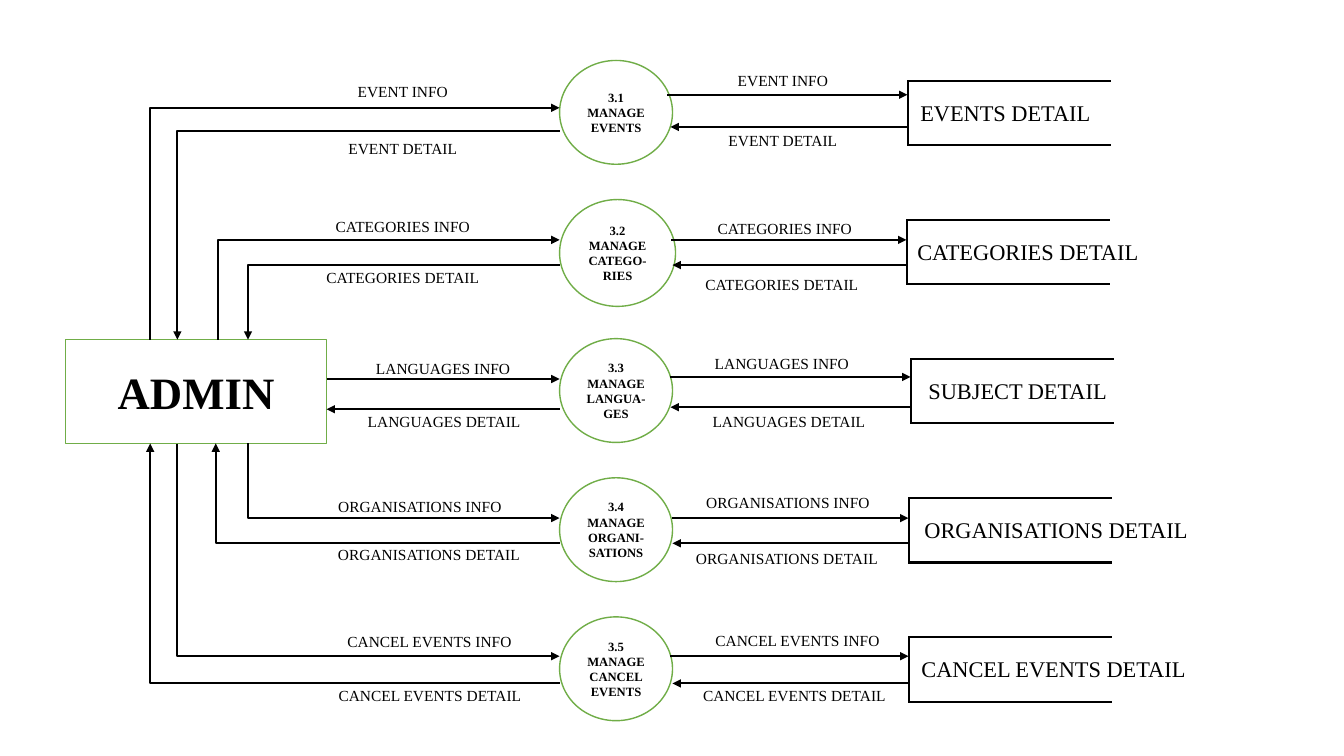
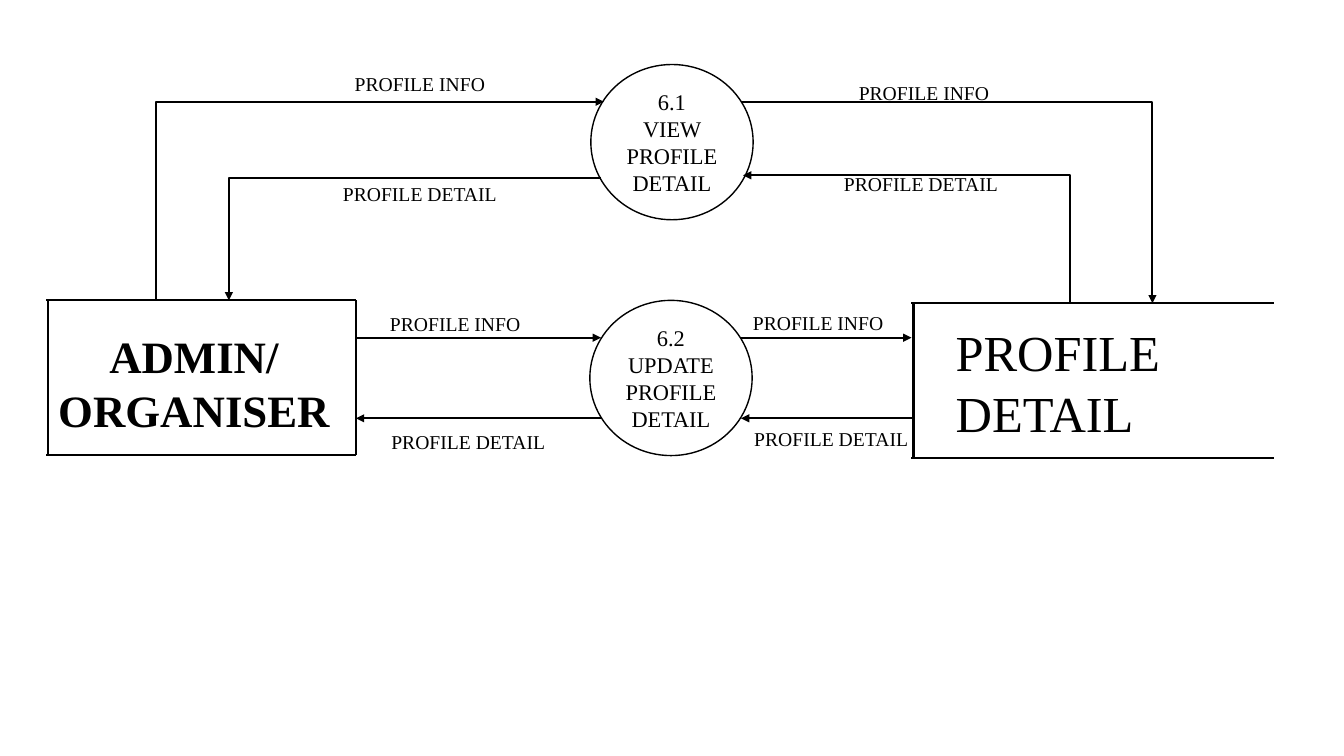
from lxml.etree import SubElement
from pptx import Presentation
from pptx.dml.color import RGBColor
from pptx.enum.shapes import MSO_CONNECTOR, MSO_SHAPE
from pptx.enum.text import MSO_ANCHOR, MSO_AUTO_SIZE, PP_ALIGN
from pptx.oxml.ns import qn
from pptx.util import Emu, Pt

BLACK = RGBColor(0x00, 0x00, 0x00)
WHITE = RGBColor(0xFF, 0xFF, 0xFF)
GREEN = RGBColor(0x70, 0xAD, 0x47)
FONT = "Times New Roman"
EMU_PER_PX = 9144  # 100 px to the inch
VERTICAL_FIRST, HORIZONTAL_FIRST = 0, 100000


def emu(*lengths):
    return [Emu(length * EMU_PER_PX) for length in lengths]


class FlowDiagram:
    """Holds the style, the deck and the current page."""

    def __init__(self, width, height):
        self.deck = Presentation()
        self.deck.slide_width, self.deck.slide_height = emu(width, height)
        self.page = None

    def new_page(self):
        self.page = self.deck.slides.add_slide(self.deck.slide_layouts[6])

    def fill_text(self, box, lines, size, bold=False, align=PP_ALIGN.CENTER):
        frame = box.text_frame
        frame.word_wrap = True
        font_format = {"name": FONT, "size": Pt(size), "bold": bold}
        for index, line in enumerate(lines):
            para = frame.add_paragraph() if index else frame.paragraphs[0]
            para.alignment = align
            span = para.add_run()
            span.text = line
            for name, value in font_format.items():
                setattr(span.font, name, value)
            span.font.color.rgb = BLACK

    def node(self, kind, bounds, lines, size, outline=BLACK, bold=False):
        box = self.page.shapes.add_shape(kind, *emu(*bounds))
        box.shadow.inherit = False
        box.fill.solid()
        box.fill.fore_color.rgb = WHITE
        box.line.color.rgb = outline
        box.line.width = Pt(1)
        box.text_frame.vertical_anchor = MSO_ANCHOR.MIDDLE
        self.fill_text(box, lines, size, bold)

    def text(self, bounds, lines, size, **style):
        box = self.page.shapes.add_textbox(*emu(*bounds))
        self.fill_text(box, lines, size, **style)
        box.text_frame.auto_size = MSO_AUTO_SIZE.SHAPE_TO_FIT_TEXT

    def line(self, start, end, kind=MSO_CONNECTOR.STRAIGHT):
        connector = self.page.shapes.add_connector(kind, *emu(*start, *end))
        connector.line.color.rgb = BLACK
        connector.line.width = Pt(1.5)
        SubElement(connector._element.spPr, qn("a:effectLst"))
        return connector

    def arrow(self, start, end, bend=None):
        straight = bend is None
        kind = MSO_CONNECTOR.STRAIGHT if straight else MSO_CONNECTOR.ELBOW
        properties = self.line(start, end, kind)._element.spPr
        SubElement(properties.find(qn("a:ln")), qn("a:tailEnd"), type="triangle")
        if not straight:
            geometry = properties.find(qn("a:prstGeom"))
            adjustments = geometry.find(qn("a:avLst"))
            if adjustments is None:
                adjustments = SubElement(geometry, qn("a:avLst"))
            SubElement(adjustments, qn("a:gd"), name="adj1", fmla=f"val {bend}")

    def store(self, left, top, width, height, spine=1):
        """Draw a data store: two rails joined by a spine at the left."""
        bottom = top + height
        for y in (top, bottom):
            self.line((left, y), (left + width, y))
        self.line((left + spine, top), (left + spine, bottom))


# Label places are left, top, width; flow heights are info, detail
MANAGE_ROWS = [
    dict(topic="EVENT", step=["3.1", "MANAGE", "EVENTS"], width=112,
         store="EVENTS DETAIL", store_left=900, store_text=(903, 200),
         admin_x=(149, 176), left_y=(107, 130), right_y=(94, 126), edge=(662, 665),
         left_labels=[(289, 77, 221), (289, 133, 221)],
         right_labels=[(666, 66, 221), (666, 125, 221)]),
    dict(topic="CATEGORIES", step=["3.2", "MANAGE", "CATEGO-RIES"], width=115,
         store="CATEGORIES DETAIL", store_left=899, store_text=(900, 265),
         admin_x=(216, 246), left_y=(238, 263), right_y=(238, 263), edge=(666, 667),
         left_labels=[(289, 210, 221), (289, 261, 221)],
         right_labels=[(668, 212, 221), (665, 268, 221)]),
    dict(topic="LANGUAGES", step=["3.3", "MANAGE", "LANGUA-GES"], width=112,
         store="SUBJECT DETAIL", store_left=903, store_text=(911, 200),
         admin_x=None, left_y=(376, 406), right_y=(374, 404), edge=(665, 665),
         left_labels=[(329, 351, 221), (330, 404, 221)],
         right_labels=[(665, 346, 221), (672, 404, 221)]),
    dict(topic="ORGANISATIONS", step=["3.4", "MANAGE", "ORGANI-", "SATIONS"], width=112,
         store="ORGANISATIONS DETAIL", store_left=901, store_text=(907, 301),
         admin_x=(246, 214), left_y=(514, 539), right_y=(514, 539), edge=(667, 667),
         left_labels=[(306, 488, 221), (315, 536, 221)],
         right_labels=[(671, 484, 221), (670, 540, 221)]),
    dict(topic="CANCEL EVENTS", step=["3.5", "MANAGE", "CANCEL", "EVENTS"], width=112,
         store="CANCEL EVENTS DETAIL", store_left=901, store_text=(904, 321),
         admin_x=(176, 149), left_y=(651, 678), right_y=(651, 678), edge=(665, 667),
         left_labels=[(305, 622, 242), (305, 676, 243)],
         right_labels=[(675, 621, 232), (673, 676, 230)]),
]
ROW_TOP, ROW_PITCH = 60, 138
CIRCLE_LEFT = 555
ADMIN = (65, 337, 259, 103)


def build_manage_page(diagram):
    diagram.new_page()
    diagram.node(MSO_SHAPE.RECTANGLE, ADMIN, ["ADMIN"], 32, GREEN, bold=True)
    admin_left, admin_top, admin_width, admin_height = ADMIN
    for index, row in enumerate(MANAGE_ROWS):
        top = ROW_TOP + index * ROW_PITCH

        # Process and data store
        circle = (CIRCLE_LEFT, top, row["width"], row["width"] - 9)
        diagram.node(MSO_SHAPE.OVAL, circle, row["step"], 9, GREEN, bold=True)
        store_left = row["store_left"]
        diagram.store(store_left, top + 20, 202, 64)
        text_left, text_width = row["store_text"]
        diagram.text((text_left, top + 33, text_width, 37), [row["store"]], 16,
                     align=PP_ALIGN.LEFT)

        # Flows between admin and process
        info_y, detail_y = row["left_y"]
        if row["admin_x"]:
            info_x, detail_x = row["admin_x"]
            side = admin_top if info_y < admin_top else admin_top + admin_height
            bends = (VERTICAL_FIRST, HORIZONTAL_FIRST)
        else:
            info_x = detail_x = admin_left + admin_width
            side = None
            bends = (None, None)
        diagram.arrow((info_x, side or info_y), (CIRCLE_LEFT, info_y), bends[0])
        diagram.arrow((CIRCLE_LEFT, detail_y), (detail_x, side or detail_y), bends[1])

        # Flows between process and store
        info_y, detail_y = row["right_y"]
        info_edge, detail_edge = row["edge"]
        diagram.arrow((info_edge, info_y), (store_left, info_y))
        diagram.arrow((store_left, detail_y), (detail_edge, detail_y))

        # Flow labels
        for labels in (row["left_labels"], row["right_labels"]):
            for place, word in zip(labels, ("INFO", "DETAIL")):
                diagram.text((*place, 29), [f"{row['topic']} {word}"], 11)


def build_profile_page(diagram):
    diagram.new_page()

    # Processes
    for left, top, step in (
        (586, 64, ["6.1", "VIEW PROFILE", "DETAIL"]),
        (585, 298, ["6.2", "UPDATE", "PROFILE", "DETAIL"]),
    ):
        diagram.node(MSO_SHAPE.OVAL, (left, top, 161, 154), step, 16)

    # Admin box and profile store
    diagram.store(46, 298, 307, 153, spine=2)
    diagram.line((353, 298), (353, 451))
    diagram.text((41, 321, 303, 118), ["ADMIN/", "ORGANISER"], 32, bold=True)
    diagram.store(904, 301, 360, 153, spine=2)
    diagram.text((938, 314, 344, 131), ["PROFILE DETAIL"], 36, align=PP_ALIGN.LEFT)

    # Flows
    for start, end, bend in (
        ((155, 298), (599, 101), VERTICAL_FIRST),
        ((596, 177), (227, 298), HORIZONTAL_FIRST),
        ((735, 101), (1143, 301), HORIZONTAL_FIRST),
        ((1061, 301), (737, 174), VERTICAL_FIRST),
        ((353, 335), (596, 335), None),
        ((596, 415), (353, 415), None),
        ((735, 335), (904, 335), None),
        ((906, 415), (735, 415), None),
    ):
        diagram.arrow(start, end, bend)

    # Flow labels
    label_places = {
        "PROFILE INFO": [(300, 66), (800, 75), (335, 305), (695, 304)],
        "PROFILE DETAIL": [(300, 176), (797, 166), (348, 422), (708, 419)],
    }
    for label, places in label_places.items():
        for place in places:
            diagram.text((*place, 233, 34), [label], 14)


def main():
    diagram = FlowDiagram(1333, 750)
    build_manage_page(diagram)
    build_profile_page(diagram)
    diagram.deck.save("out.pptx")


if __name__ == "__main__":
    main()
